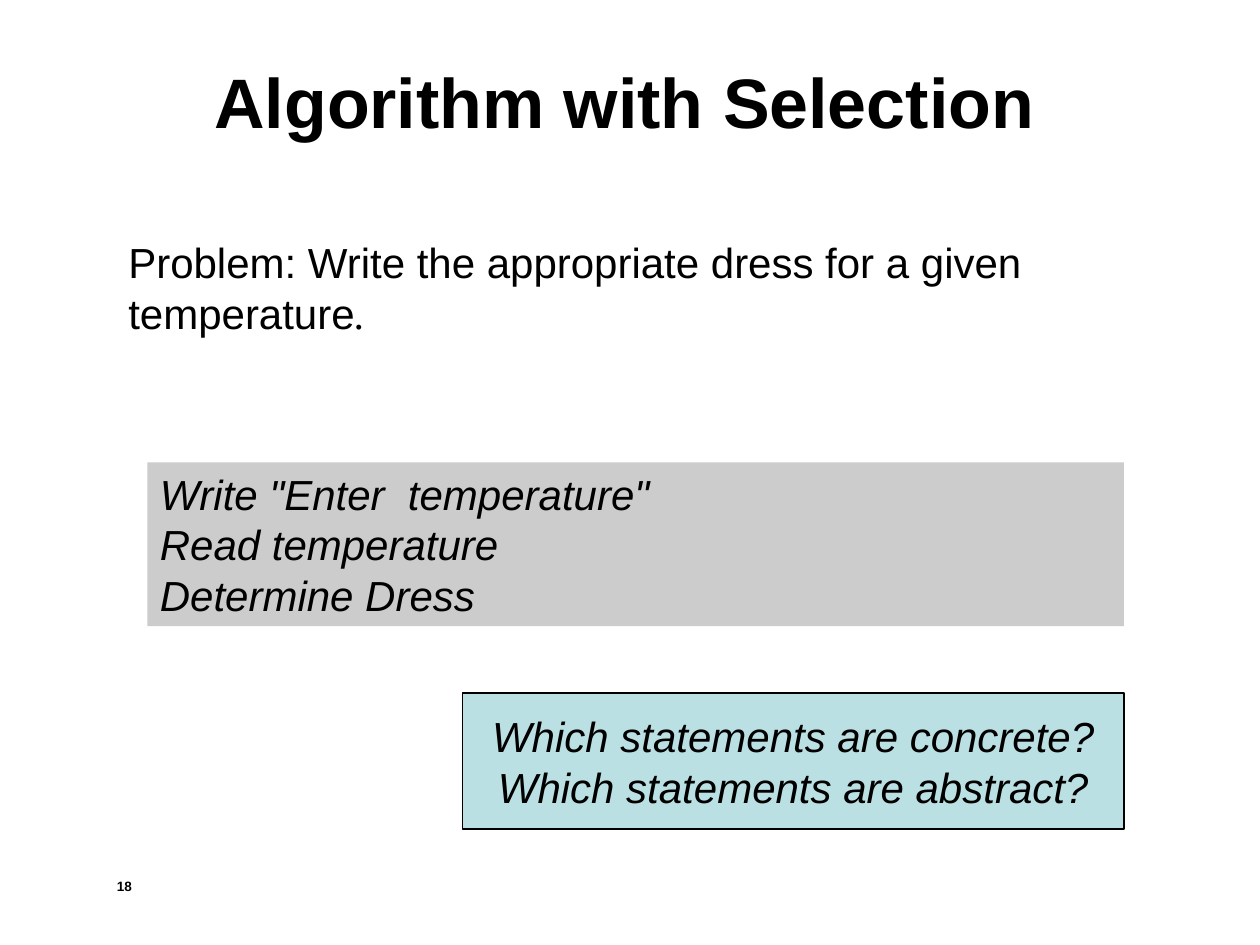
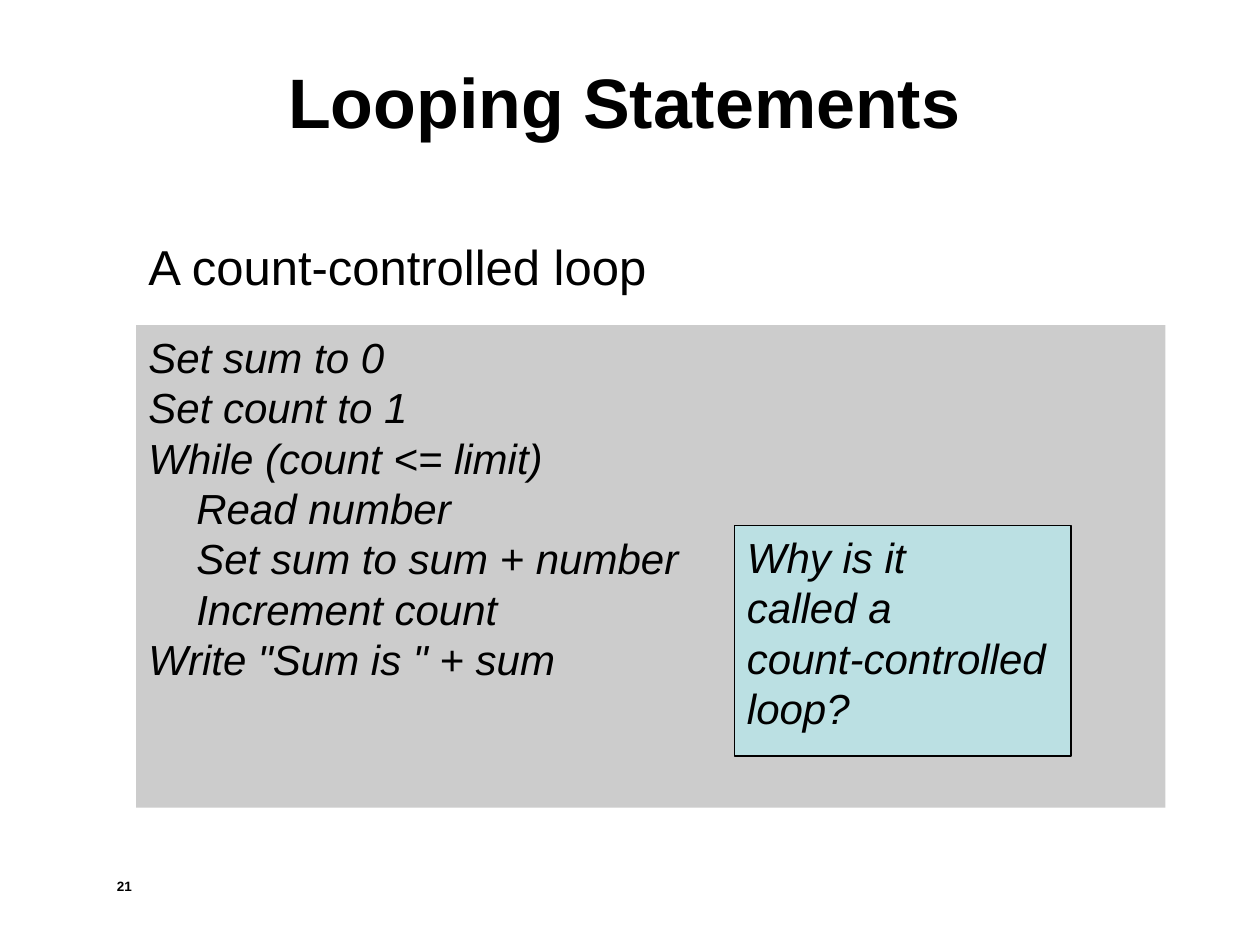
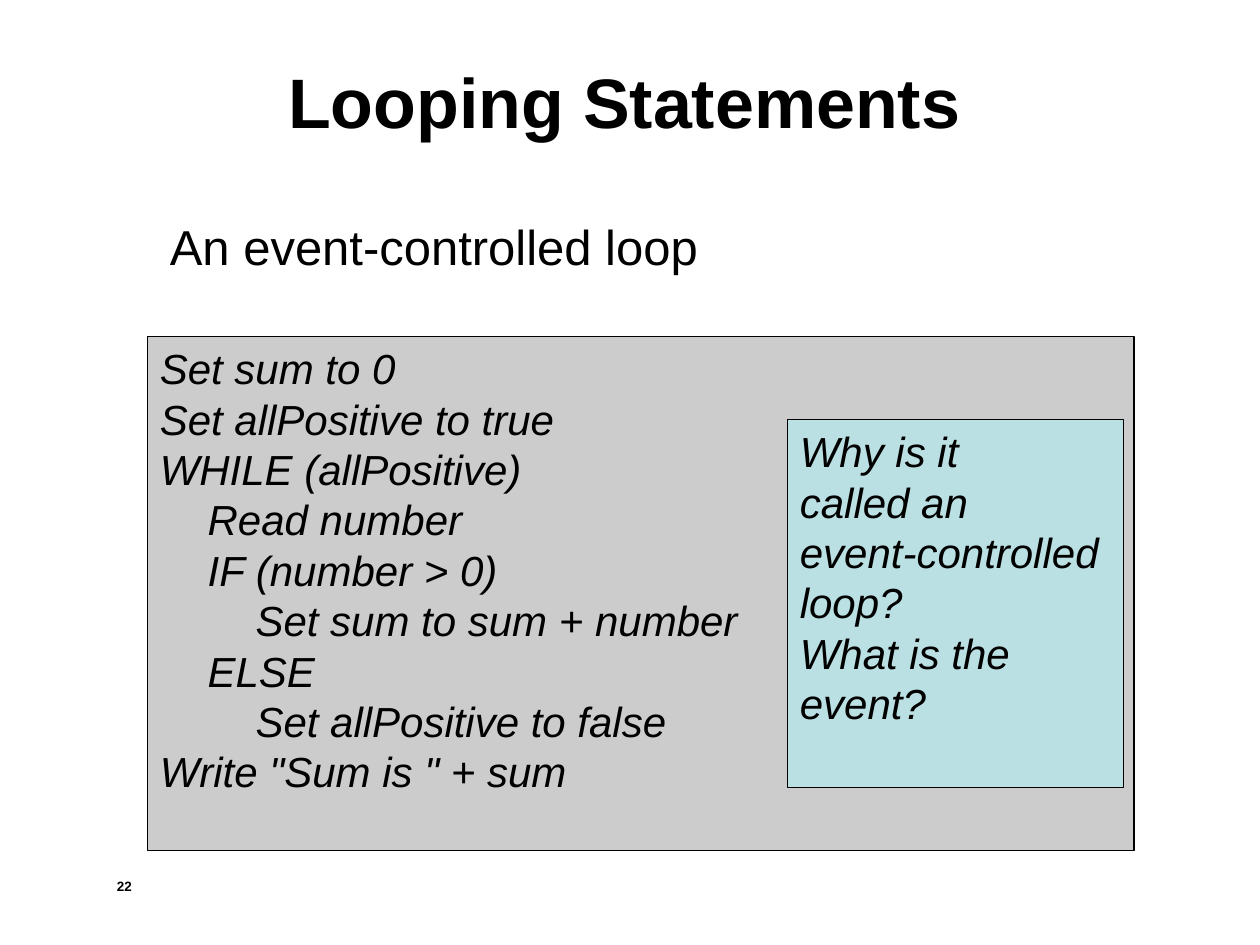
import pptx
import pptx.dml.color
import pptx.enum.shapes
import pptx.enum.text
import pptx.util

Inches = pptx.util.Inches
Pt = pptx.util.Pt
Align = pptx.enum.text.PP_ALIGN
Anchor = pptx.enum.text.MSO_ANCHOR

COLORS = {"ink": "000000", "code": "CCCCCC", "question": "BBE0E3"}
FORMATS = {
    "title": {"name": "Arial", "size": Pt(40), "bold": True},
    "heading": {"name": "Arial", "size": Pt(28)},
    "body": {"name": "Arial", "size": Pt(24)},
    "full stop": {"name": "Times New Roman", "size": Pt(24), "italic": True},
    "code": {"name": "Arial", "size": Pt(24), "italic": True},
    "number": {"name": "Arial", "size": Pt(7.7), "bold": True},
}
INDENT = Inches(0.38)


def color(key):
    return pptx.dml.color.RGBColor.from_string(COLORS[key])


class Deck:
    """Holds the shared style and the slide being filled."""

    def __init__(self):
        self.presentation = pptx.Presentation()
        self.presentation.slide_width = Inches(10)
        self.presentation.slide_height = Inches(7.5)
        self.slide = None

    def start_slide(self, title, number):
        blank = self.presentation.slide_layouts[6]
        self.slide = self.presentation.slides.add_slide(blank)
        self.text(str(number), (0.83, 6.92, 1.92, 0.25), "number")
        self.text(title, (0.83, 0.17, 8.25, 1.25), "title", Align.CENTER, Anchor.MIDDLE)

    def add_run(self, paragraph, wording, style):
        run = paragraph.add_run()
        run.text = wording
        run.font.color.rgb = color("ink")
        for name, value in FORMATS[style].items():
            setattr(run.font, name, value)

    def add_lines(self, frame, lines, style, align=Align.LEFT, anchor=Anchor.TOP):
        """Add one paragraph per line; each leading tab is one indent step."""
        frame.word_wrap = True
        frame.vertical_anchor = anchor
        for index, line in enumerate(lines):
            paragraph = frame.add_paragraph() if index else frame.paragraphs[0]
            paragraph.alignment = align
            wording = line.lstrip("\t")
            depth = len(line) - len(wording)
            if depth:
                paragraph._p.get_or_add_pPr().set("marL", str(depth * INDENT))
            self.add_run(paragraph, wording, style)

    def text(self, wording, place, style, align=Align.LEFT, anchor=Anchor.TOP):
        frame = self.slide.shapes.add_textbox(*map(Inches, place)).text_frame
        self.add_lines(frame, [wording], style, align, anchor)
        return frame.paragraphs[0]

    def panel(self, lines, place, fill, outlined=True, align=Align.LEFT, anchor=Anchor.TOP):
        rectangle = pptx.enum.shapes.MSO_SHAPE.RECTANGLE
        panel = self.slide.shapes.add_shape(rectangle, *map(Inches, place))
        panel.shadow.inherit = False
        panel.fill.solid()
        panel.fill.fore_color.rgb = color(fill)
        if outlined:
            panel.line.color.rgb = color("ink")
            panel.line.width = Pt(0.75)
        else:
            panel.line.fill.background()
        self.add_lines(panel.text_frame, lines, "code", align, anchor)


def selection_slide(deck):
    deck.start_slide("Algorithm with Selection", 18)
    problem = deck.text(
        "Problem: Write the appropriate dress for a given temperature",
        (0.92, 1.83, 8.5, 1.3), "body")
    deck.add_run(problem, ".", "full stop")
    deck.panel(
        ['Write "Enter  temperature"', "Read temperature", "Determine Dress"],
        (1.17, 3.67, 7.75, 1.3), "code", outlined=False)
    deck.panel(
        ["Which statements are concrete?", "Which statements are abstract?"],
        (3.67, 5.5, 5.25, 1.08), "question", align=Align.CENTER, anchor=Anchor.MIDDLE)


def count_loop_slide(deck):
    deck.start_slide("Looping Statements", 21)
    deck.panel(
        ["Set sum to 0",
         "Set count to 1",
         "While (count <= limit)",
         "\tRead number",
         "\tSet sum to sum + number",
         "\tIncrement count",
         'Write "Sum is " + sum'],
        (1.08, 2.58, 8.17, 3.83), "code", outlined=False)
    deck.panel(
        ["Why is it", "called a", "count-controlled", "loop?"],
        (5.83, 4.17, 2.67, 1.83), "question")
    deck.text("A count-controlled loop", (1.08, 1.83, 5.17, 1.28), "heading")


def event_loop_slide(deck):
    deck.start_slide("Looping Statements", 22)
    deck.panel(
        ["Set sum to 0",
         "Set allPositive to true",
         "WHILE (allPositive)",
         "\tRead number",
         "\tIF (number > 0)",
         "\t\tSet sum to sum + number",
         "\tELSE",
         "\t\tSet allPositive to false",
         'Write "Sum is " + sum'],
        (1.17, 2.67, 7.83, 4.08), "code")
    deck.panel(
        ["Why is it", "called an", "event-controlled", "loop?", "What is the", "event?"],
        (6.25, 3.33, 2.67, 2.92), "question")
    deck.text("An event-controlled loop", (1.25, 1.67, 4.42, 1.28), "heading")


def main():
    deck = Deck()
    for build in (selection_slide, count_loop_slide, event_loop_slide):
        build(deck)
    deck.presentation.save("out.pptx")


if __name__ == "__main__":
    main()
